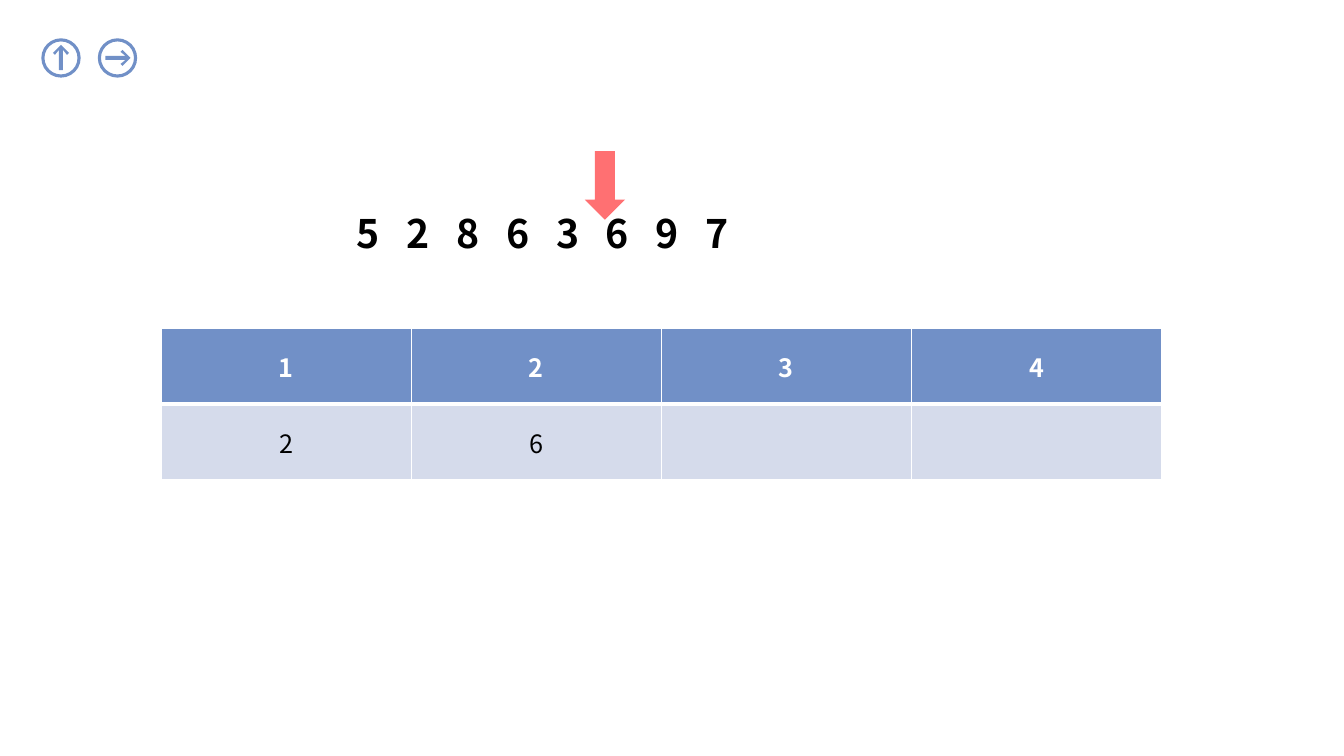
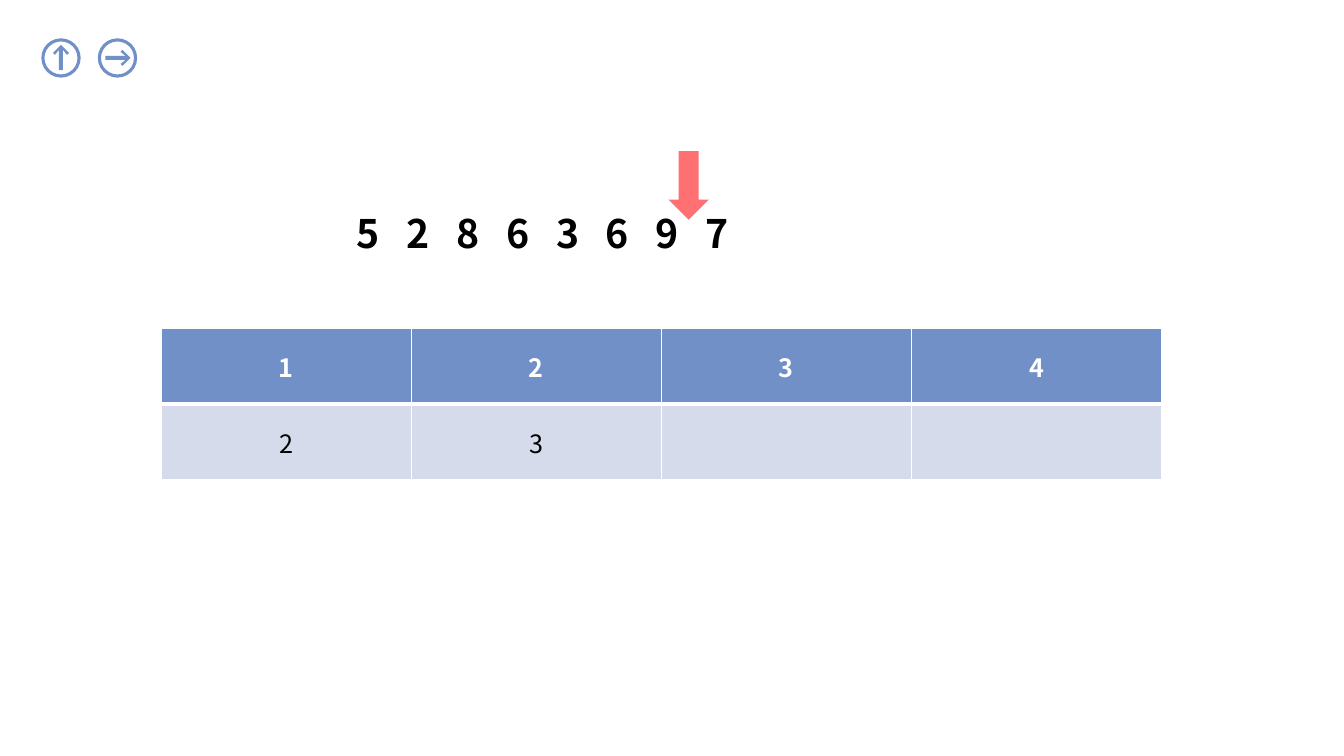
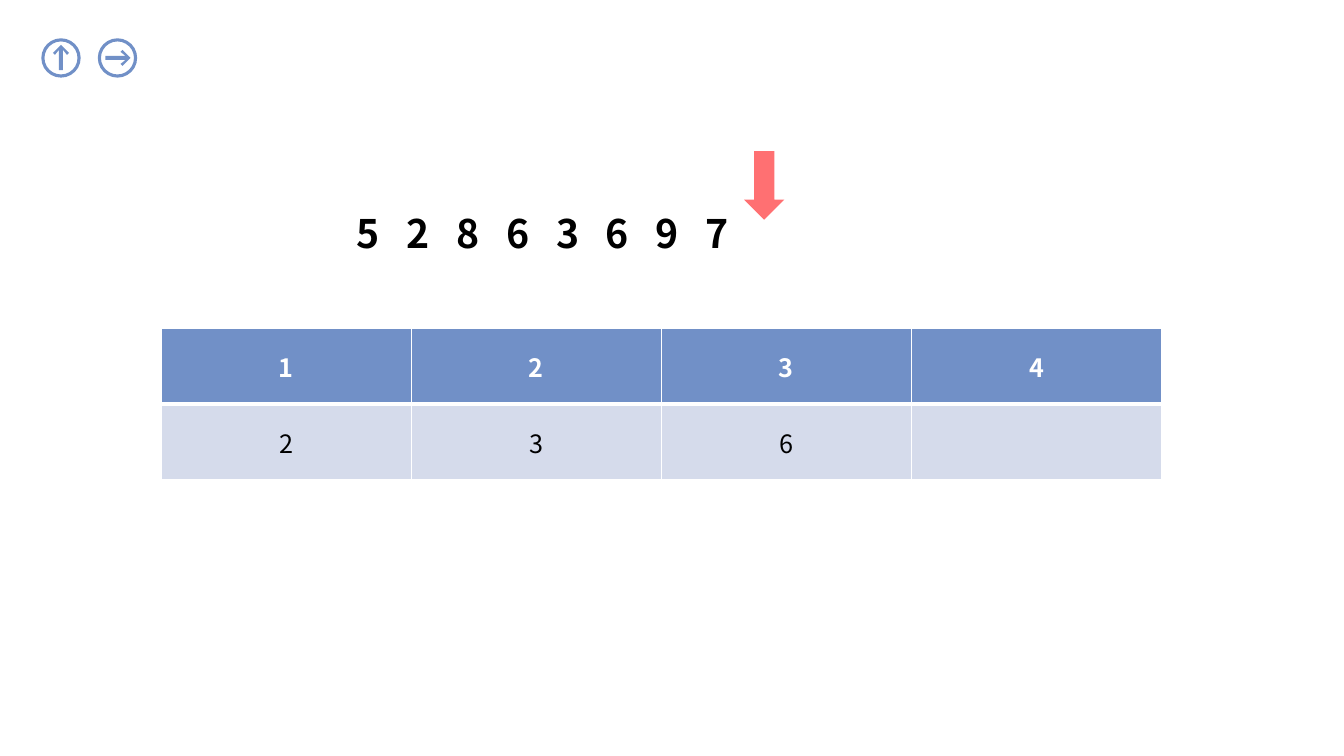
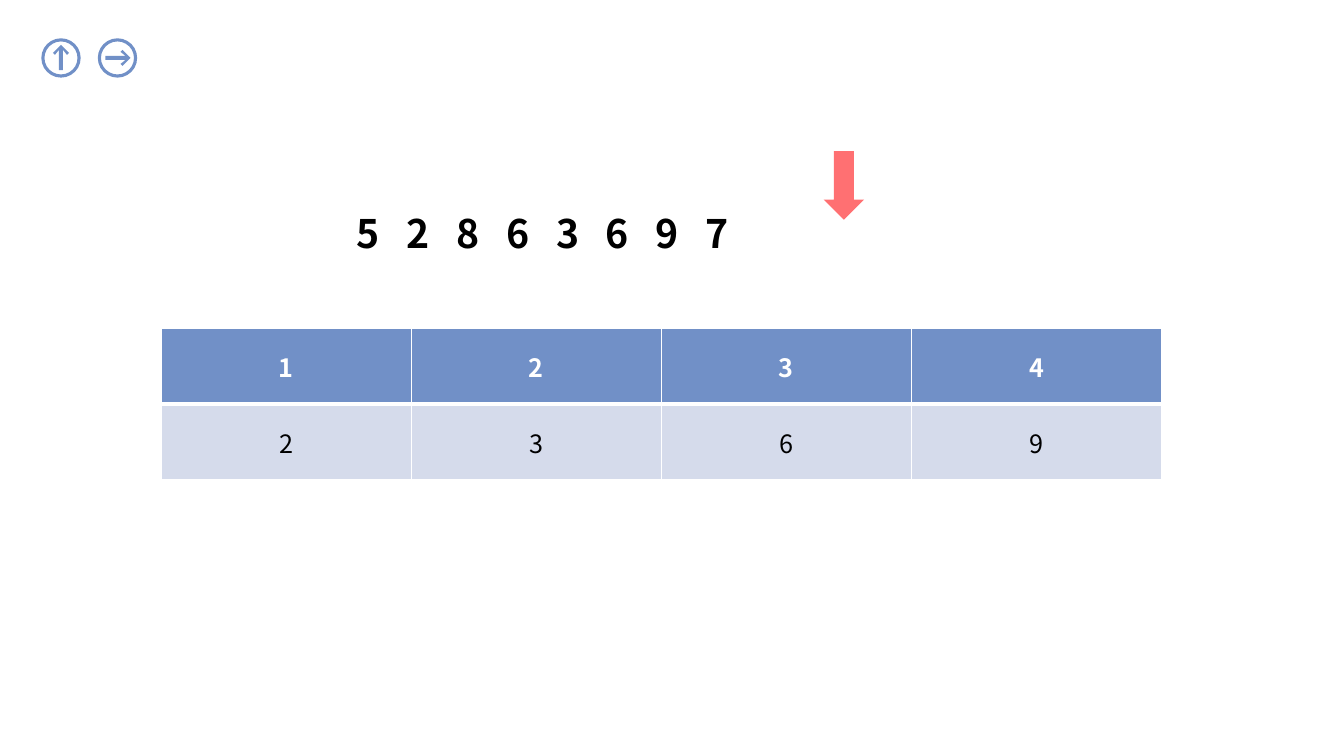
from lxml import etree
from pptx import Presentation
from pptx import util as u
from pptx.dml import color
from pptx.enum import shapes, text
from pptx.oxml import ns

FONT = "Noto Sans CJK SC"
BLUE, PALE, RED, WHITE, BLACK = "7190C7", "D5DBEB", "FF7072", "FFFFFF", "000000"
SEQUENCE = "52863697"
SEQUENCE_SPAN = 3.46
STEPS = [(5.8, "26"), (6.63, "23"), (7.38, "236"), (8.17, "2369")]
ARROW_POINTS = [
    (0.13, 0), (0.05, 0.08), (0.03, 0.06), (0.08, 0.02), (-0.12, 0.02),
    (-0.12, -0.02), (0.08, -0.02), (0.03, -0.06), (0.05, -0.08),
]


def rgb(code):
    """Turn a hex string into a colour."""
    return color.RGBColor.from_string(code)


def paint(shape, code):
    """Give a shape a flat fill with neither outline nor shadow."""
    shape.shadow.inherit = False
    shape.fill.solid()
    shape.fill.fore_color.rgb = rgb(code)
    shape.line.fill.background()


def style(para, size, code, bold):
    """Format the runs of a paragraph."""
    for span in para.runs:
        span.font.name = FONT
        span.font.size = u.Pt(size)
        span.font.bold = bold
        span.font.color.rgb = rgb(code)


def add_preset(page, kind, left, top, width, height, code):
    """Place a flat preset shape."""
    shape = page.shapes.add_shape(kind, *map(u.Inches, (left, top, width, height)))
    paint(shape, code)
    return shape


def add_round_button(page, left, top, size, upward):
    """Draw a ring with an arrow pointing up or right."""
    ring = add_preset(page, shapes.MSO_SHAPE.DONUT, left, top, size, size, BLUE)
    ring.adjustments[0] = 0.08
    turned = [(y, -x) if upward else (x, y) for x, y in ARROW_POINTS]
    middle = size / 2
    points = [
        (u.Inches(left + middle + x), u.Inches(top + middle + y)) for x, y in turned
    ]
    builder = page.shapes.build_freeform(*points[0])
    builder.add_line_segments(points[1:], close=True)
    paint(builder.convert_to_shape(), BLUE)


def add_sequence(page, left, top, width, height):
    """Write the input digits at equal tab stops."""
    box = page.shapes.add_textbox(*map(u.Inches, (left, top, width, height)))
    frame = box.text_frame
    frame.word_wrap = True
    para = frame.paragraphs[0]
    para.text = "\t".join(SEQUENCE)
    style(para, 28, BLACK, True)
    stops = etree.SubElement(para._p.get_or_add_pPr(), ns.qn("a:tabLst"))
    for index in range(1, len(SEQUENCE)):
        place = u.Inches(SEQUENCE_SPAN * index / (len(SEQUENCE) - 1))
        etree.SubElement(stops, ns.qn("a:tab"), pos=str(place), algn="l")


def set_borders(cell, widths):
    """Draw white cell borders with the given widths by side."""
    props = cell._tc.get_or_add_tcPr()
    for index, side in enumerate("LRTB"):
        line = etree.Element(ns.qn(f"a:ln{side}"), w=str(u.Pt(widths[side])))
        fill = etree.SubElement(line, ns.qn("a:solidFill"))
        etree.SubElement(fill, ns.qn("a:srgbClr"), val=WHITE)
        props.insert(index, line)


def fill_cell(cell, value, header):
    """Fill, frame and centre one table cell."""
    cell.fill.solid()
    cell.fill.fore_color.rgb = rgb(BLUE if header else PALE)
    cell.vertical_anchor = text.MSO_ANCHOR.MIDDLE
    para = cell.text_frame.paragraphs[0]
    para.text = value
    para.alignment = text.PP_ALIGN.CENTER
    style(para, 18, WHITE if header else BLACK, header)
    thick = "B" if header else "T"
    set_borders(cell, {side: 3 if side == thick else 1 for side in "LRTB"})


def add_tails_table(page, left, top, width, height, tails):
    """Show the smallest tail for each length."""
    area = map(u.Inches, (left, top, width, height))
    table = page.shapes.add_table(2, 4, *area).table
    for column in range(4):
        fill_cell(table.cell(0, column), str(column + 1), True)
        fill_cell(table.cell(1, column), tails[column:column + 1], False)


def add_step(deck, arrow_left, tails):
    """Add one step of the walk through the sequence."""
    page = deck.slides.add_slide(deck.slide_layouts[6])
    add_round_button(page, 0.97, 0.38, 0.39, False)
    add_round_button(page, 0.41, 0.38, 0.39, True)
    add_sequence(page, 3.44, 2.03, 7.2, 0.57)
    add_tails_table(page, 1.6, 3.26, 9.92, 1.5, tails)
    add_preset(page, shapes.MSO_SHAPE.DOWN_ARROW, arrow_left, 1.5, 0.4, 0.68, RED)


def main():
    """Build and save the deck."""
    deck = Presentation()
    deck.slide_width, deck.slide_height = u.Inches(13.33), u.Inches(7.5)
    for arrow_left, tails in STEPS:
        add_step(deck, arrow_left, tails)
    deck.save("out.pptx")


if __name__ == "__main__":
    main()
